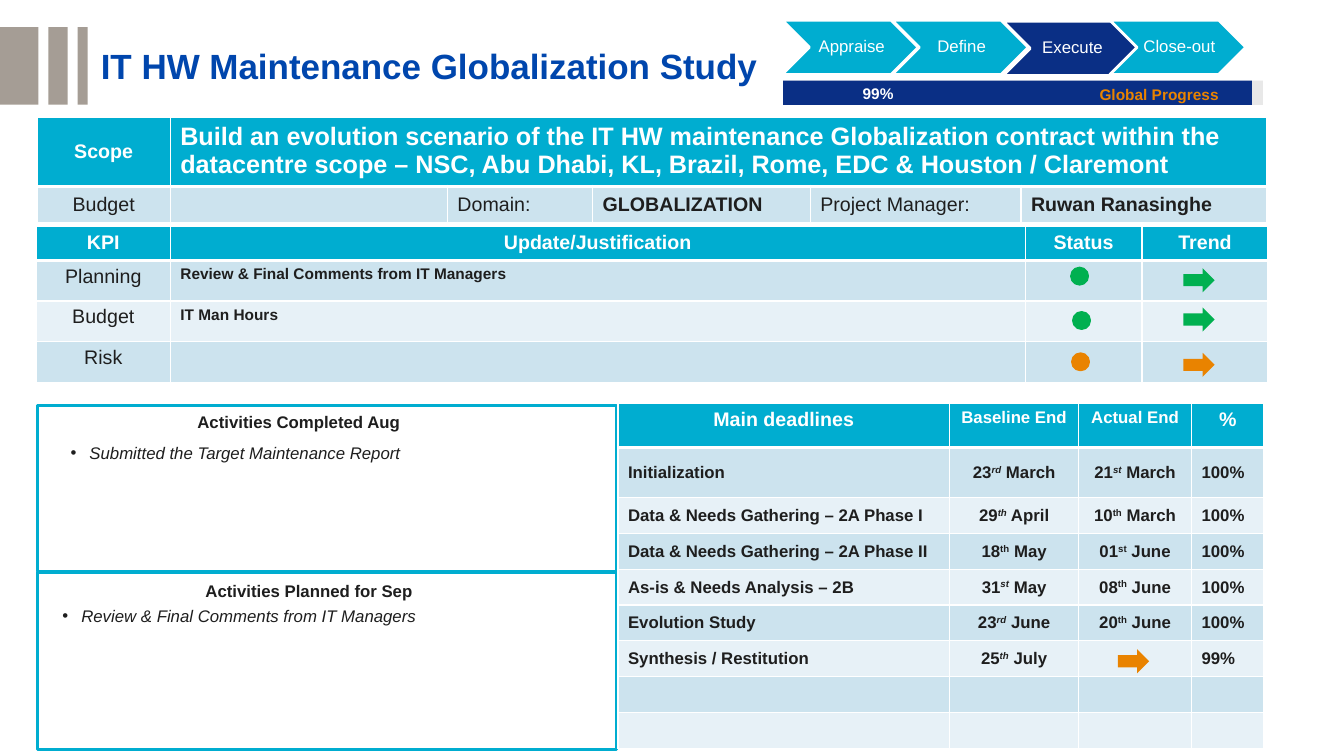
from lxml.etree import SubElement
from pptx import Presentation
from pptx.dml.color import RGBColor
from pptx.enum.shapes import MSO_SHAPE
from pptx.enum.text import MSO_ANCHOR, MSO_AUTO_SIZE, PP_ALIGN
from pptx.oxml.ns import qn
from pptx.util import Pt

COLORS = {
    "cyan": "00ADD0", "navy": "0A2F85", "blue": "0046AD", "taupe": "A59D95",
    "ink": "1E1E1E", "white": "FFFFFF", "grey": "E8E8E8", "orange": "E98300",
    "green": "00B050", "band": "CCE3EE", "pale": "E7F1F7",
}
ALIGN = {"l": PP_ALIGN.LEFT, "c": PP_ALIGN.CENTER}
ANCHOR = {"t": MSO_ANCHOR.TOP, "m": MSO_ANCHOR.MIDDLE}

BARS = [(0, 27.4), (34.6, 13.7), (55.4, 7.2)]
STAGES = [
    ("Appraise", 558.7, 14.4, "cyan"),
    ("Define", 637.2, 14.4, "cyan"),
    ("Execute", 716.4, 15.1, "navy"),
    ("Close-out", 792.7, 14.4, "cyan"),
]
SCOPE = (
    "Build an evolution scenario of the IT HW maintenance Globalization contract "
    "within the datacentre scope – NSC, Abu Dhabi, KL, Brazil, Rome, EDC & "
    "Houston / Claremont"
)
BUDGET = ["Budget", "", "Domain:", "GLOBALIZATION", "Project Manager:", "Ruwan Ranasinghe"]
KPIS = [
    ("Planning", "Review & Final Comments from IT Managers", "green", (765.4, 191.5), 191.5),
    ("Budget", "IT Man Hours", "green", (766.8, 223.2), 219.6),
    ("Risk", "", "orange", (766.1, 252.7), 252),
]
DEADLINES = [
    ("Initialization", "23^/rd^ March", "21^/st^ March", "100%"),
    ("Data & Needs Gathering – 2A Phase I", "29^/th^ April", "10^th^ March", "100%"),
    ("Data & Needs Gathering – 2A Phase II", "18^th^ May", "01^st^ June", "100%"),
    ("As-is & Needs Analysis – 2B", "31^/st^ May", "08^th^ June", "100%"),
    ("Evolution Study", "23^/rd^ June", "20^th^ June", "100%"),
    ("Synthesis / Restitution", "25^/th^ July", "", "99%"),
    ("", "", "", ""),
    ("", "", "", ""),
]
PANELS = [
    ("Activities Completed Aug", "Submitted the Target Maintenance Report",
     (26.6, 289.4, 414, 118.8), (133.9, 290.9), (43.2, 312.5)),
    ("Activities Planned for Sep", "Review & Final Comments from IT Managers",
     (26.6, 409, 414, 126.7), (139.7, 411.1), (37.4, 429.1)),
]


def paint(name):
    return RGBColor.from_string(COLORS[name])


def place(shape, box):
    shape.left, shape.top, shape.width, shape.height = map(Pt, box)


def write(frame, text, size=12, color="ink", bold=False, italic=False,
          align="l", lines=1, bullet=False):
    para = frame.paragraphs[0]
    props = para._p.get_or_add_pPr()
    if bullet:
        props.set("marL", str(Pt(13.5)))
        props.set("indent", str(-Pt(13.5)))
        SubElement(props, qn("a:buFont")).set("typeface", "Arial")
        SubElement(props, qn("a:buChar")).set("char", "•")
    para.alignment = ALIGN[align]
    para.line_spacing = lines
    para.space_before = Pt(0)
    if not text:
        SubElement(para._p, qn("a:endParaRPr")).set("sz", str(size * 100))
    for n, part in enumerate(text.split("^") if text else []):
        run = para.add_run()
        run.text = part.lstrip("/") if n % 2 else part
        font = run.font
        font.name, font.size, font.bold = "Arial", Pt(size), bold
        font.italic = italic or (n % 2 == 1 and part.startswith("/"))
        font.color.rgb = paint(color)
        if n % 2:
            run._r.get_or_add_rPr().set("baseline", "30000")


def shape(slide, kind, box, fill, line=None, width=2):
    item = slide.shapes.add_shape(kind, *map(Pt, box))
    item.shadow.inherit = False
    item.fill.solid()
    item.fill.fore_color.rgb = paint(fill)
    if line:
        item.line.color.rgb = paint(line)
        item.line.width = Pt(width)
    else:
        item.line.fill.background()
    return item


def label(slide, text, box, **form):
    frame = slide.shapes.add_textbox(*map(Pt, box)).text_frame
    frame.word_wrap = True
    write(frame, text, **form)


def holder(item, text, box, anchor="t", inset=None, **form):
    place(item, box)
    item.element.getparent().append(item.element)
    frame = item.text_frame
    frame.word_wrap = True
    frame.auto_size = MSO_AUTO_SIZE.NONE
    frame.vertical_anchor = ANCHOR[anchor]
    if inset is not None:
        frame.margin_left = frame.margin_right = Pt(inset)
        frame.margin_top = frame.margin_bottom = Pt(inset)
    write(frame, text, **form)


def grid(slide, left, top, cols, rows):
    box = (left, top, sum(cols), sum(rows))
    table = slide.shapes.add_table(len(rows), len(cols), *map(Pt, box)).table
    for col, width in zip(table.columns, cols):
        col.width = Pt(width)
    for row, height in zip(table.rows, rows):
        row.height = Pt(height)
    return table


def edge(cell, base):
    props = cell._tc.get_or_add_tcPr()
    for side, width in (("L", 1), ("R", 1), ("T", 1), ("B", base)):
        line = SubElement(props, qn("a:ln" + side), w=str(Pt(width)))
        fill = SubElement(line, qn("a:solidFill"))
        SubElement(fill, qn("a:srgbClr")).set("val", COLORS["white"])


def put(cell, text, fill, anchor="t", base=1, **form):
    edge(cell, base)
    cell.fill.solid()
    cell.fill.fore_color.rgb = paint(fill)
    cell.vertical_anchor = ANCHOR[anchor]
    write(cell.text_frame, text, **form)


def head(cell, text, size=14, align="c", anchor="t"):
    put(cell, text, "cyan", anchor, 3, size=size, color="white", bold=True, align=align)


def arrow(slide, left, top, fill):
    shape(slide, MSO_SHAPE.RIGHT_ARROW, (left, top, 22.3, 17.3), fill)


def scope(slide):
    table = grid(slide, 26.6, 84.2, [95, 198, 103.7, 155.5, 150.5, 175.7], [49, 26])
    table.cell(0, 1).merge(table.cell(0, 5))
    head(table.cell(0, 0), "Scope", anchor="m")
    head(table.cell(0, 1), SCOPE, 18, "l")
    for n, text in enumerate(BUDGET):
        put(table.cell(1, n), text, "band", "m", size=14, bold=n in (3, 5),
            align="l" if n else "c")


def kpis(slide):
    table = grid(slide, 25.9, 162, [95.8, 610.6, 83.5, 90], [24, 29, 29, 29])
    for n, text in enumerate(["KPI", "Update/Justification", "Status", "Trend"]):
        head(table.cell(0, n), text)
    for row, (name, note, color, dot, top) in enumerate(KPIS, 1):
        fill = "band" if row % 2 else "pale"
        put(table.cell(row, 0), name, fill, size=14, align="c")
        put(table.cell(row, 1), note, fill, size=11, bold=True)
        for col in (2, 3):
            put(table.cell(row, col), "", fill)
        shape(slide, MSO_SHAPE.OVAL, (*dot, 11.5, 11.5), color, color)
        arrow(slide, 845.3, top, color)


def dates(slide):
    rows = [31.7, 35.7] + [25.6] * 7
    table = grid(slide, 441.4, 288, [236.9, 92.2, 80.6, 51.8], rows)
    titles = [("Main deadlines", 14), ("Baseline End", 12), ("Actual End", 12), ("%", 14)]
    for n, (text, size) in enumerate(titles):
        head(table.cell(0, n), text, size)
    for row, texts in enumerate(DEADLINES, 1):
        for col, text in enumerate(texts):
            put(table.cell(row, col), text, "band" if row % 2 else "pale", "m",
                bold=True, align="c" if col in (1, 2) else "l")
    arrow(slide, 798.5, 463.7, "orange")


def stages(slide):
    for text, left, top, fill in STAGES:
        item = shape(slide, MSO_SHAPE.CHEVRON, (left, top, 97.2, 38.9), fill, "white")
        frame = item.text_frame
        frame.margin_left = Pt(3.6)
        frame.margin_right = frame.margin_top = frame.margin_bottom = Pt(1.4)
        frame.vertical_anchor = ANCHOR["m"]
        write(frame, text, color="white", align="c", lines=0.9)


def main():
    deck = Presentation()
    deck.slide_width, deck.slide_height = Pt(960), Pt(540)
    slide = deck.slides.add_slide(deck.slide_layouts[3])
    title, *lists = slide.placeholders
    for left, width in BARS:
        shape(slide, MSO_SHAPE.RECTANGLE, (left, 19.4, width, 55.4), "taupe")
    holder(title, "IT HW Maintenance Globalization Study", (72, 21.6, 817.9, 54.7),
           "m", 0, size=25, color="blue", bold=True, lines=0.9)
    scope(slide)
    for width, fill in ((342.7, "grey"), (334.8, "navy")):
        shape(slide, MSO_SHAPE.RECTANGLE, (559.4, 57.6, width, 17.3), fill)
    label(slide, "99%", (609.1, 56.2, 54, 20.9), size=11, color="white", bold=True)
    label(slide, "Global Progress", (778.3, 56.9, 103.7, 20.9), size=11,
          color="orange", bold=True)
    stages(slide)
    kpis(slide)
    for item, (name, note, box, spot, start) in zip(lists, PANELS):
        shape(slide, MSO_SHAPE.RECTANGLE, box, "white", "cyan", 2.25)
        label(slide, name, (*spot, 193, 21.6), bold=True)
        holder(item, note, (*start, 385.2, 36), italic=True, bullet=True)
    dates(slide)
    deck.save("out.pptx")


if __name__ == "__main__":
    main()
